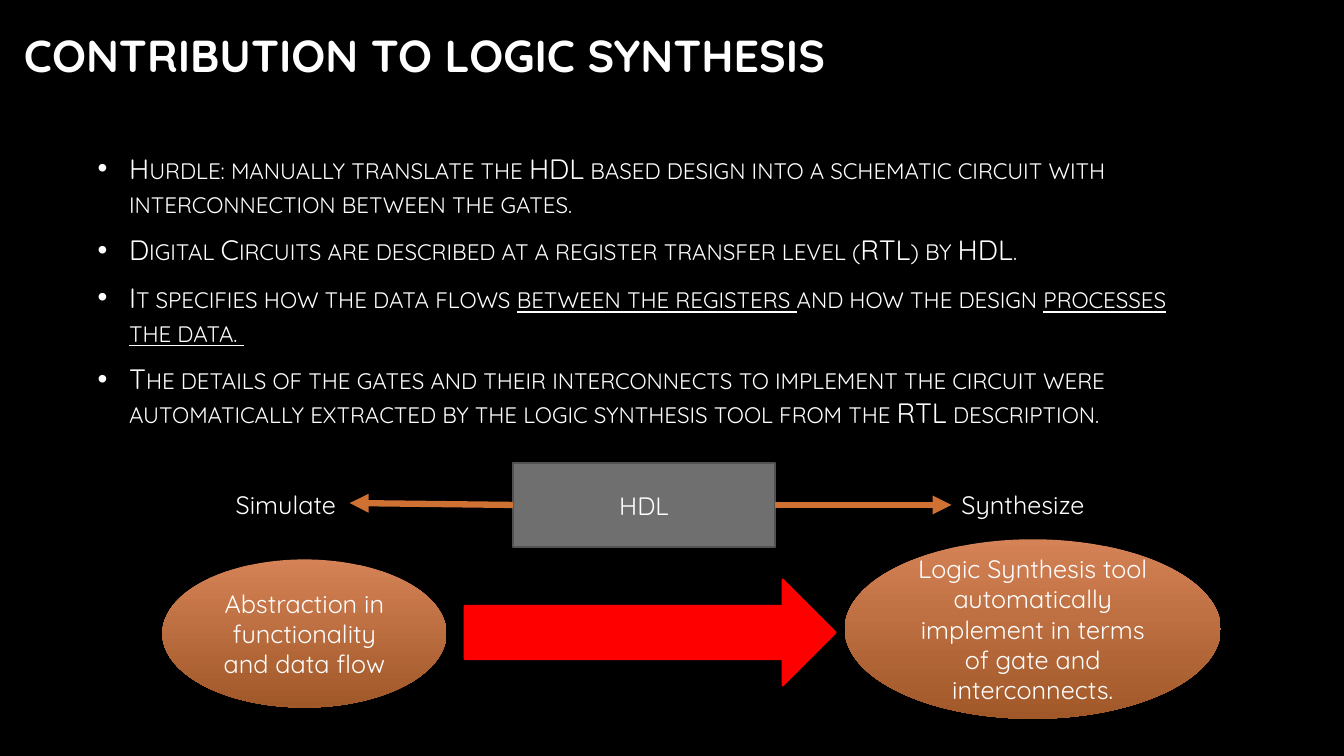
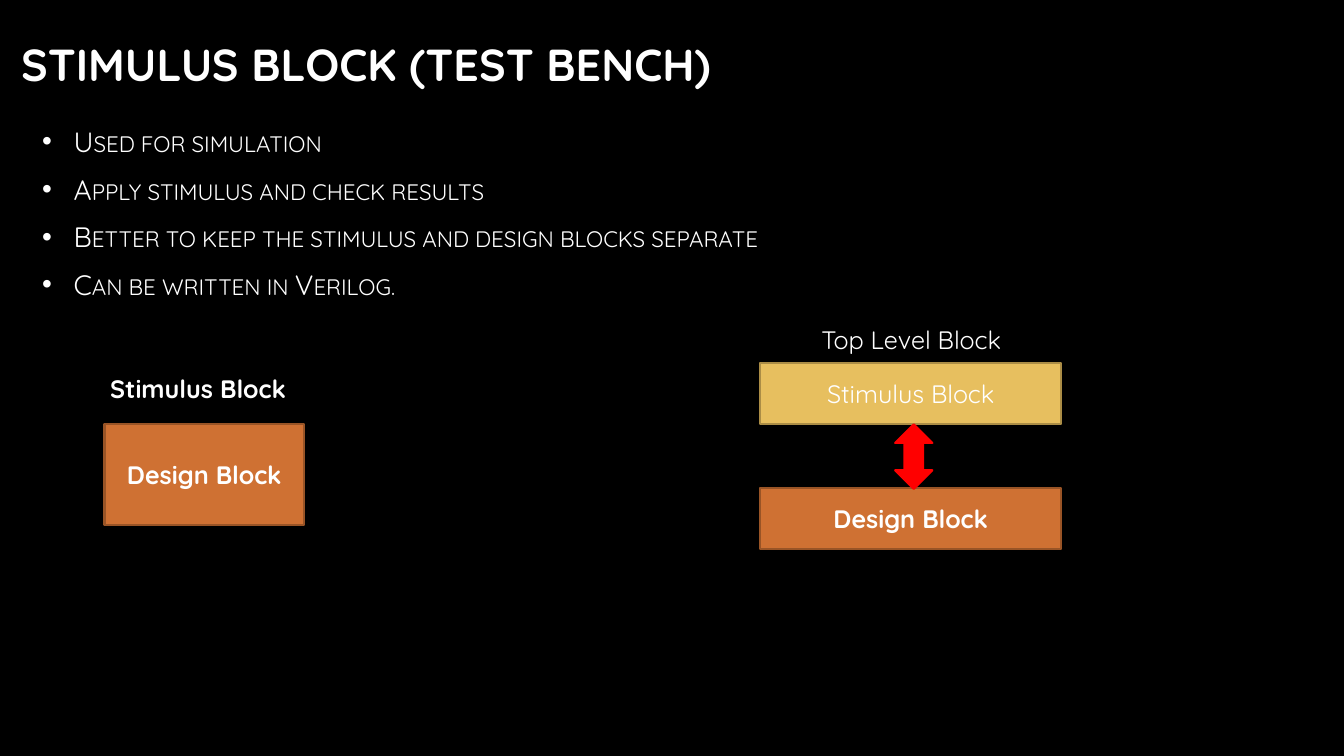
from dataclasses import dataclass

from lxml import etree
from pptx import Presentation
from pptx.dml.color import RGBColor as Rgb
from pptx.enum import shapes, text
from pptx.oxml import ns
from pptx.util import Pt

Geo = shapes.MSO_SHAPE


@dataclass(frozen=True)
class Theme:
    face: str = "Quicksand"
    head: int = 32
    body: int = 20
    label: int = 18
    edge: float = 1.5
    wire: float = 4.5
    black: str = "000000"
    white: str = "FFFFFF"
    red: str = "FF0000"
    rust: str = "CF7133"
    brown: str = "995426"
    gold: str = "E7BF5F"
    ochre: str = "AB8D46"
    gray: str = "6F6F6F"
    slate: str = "525252"
    glow: tuple = ("D48256", "A15828")


T = Theme()


def rgb(code):
    return Rgb.from_string(code)


def sub(node, tag, **attrs):
    return etree.SubElement(node, ns.qn(tag), attrs)


def style(para, size, bold=False):
    font = para.font
    font.name, font.size, font.bold = T.face, Pt(size), bold
    font.color.rgb = rgb(T.white)
    return font


def add_box(slide, box, anchor=text.MSO_ANCHOR.MIDDLE):
    frame = slide.shapes.add_textbox(*map(Pt, box)).text_frame
    frame.word_wrap = True
    frame.vertical_anchor = anchor
    return frame


def add_title(slide, box, words):
    para = add_box(slide, box).paragraphs[0]
    para.text = words
    style(para, T.head, bold=True)


def add_bullets(slide, box, items):
    """Write one bullet per item; in an item, odd parts between bars are underlined."""
    frame = add_box(slide, box)
    for num, item in enumerate(items):
        para = frame.add_paragraph() if num else frame.paragraphs[0]
        para.space_before, para.space_after = Pt(4), Pt(6)
        props = para._p.get_or_add_pPr()
        props.set("marL", str(Pt(22.5)))
        props.set("indent", str(-Pt(22.5)))
        sub(sub(props, "a:buClr"), "a:srgbClr", val=T.white)
        sub(props, "a:buFont", typeface="Arial")
        sub(props, "a:buChar", char="•")
        style(para, T.body)
        props.find(ns.qn("a:defRPr")).set("cap", "small")
        for part, words in enumerate(item.split("|")):
            if words:
                run = para.add_run()
                run.text = words
                if part % 2:
                    run.font.underline = True


def add_label(slide, box, words, align=text.PP_ALIGN.LEFT, bold=False):
    para = add_box(slide, box, text.MSO_ANCHOR.TOP).paragraphs[0]
    para.text, para.alignment = words, align
    style(para, T.label, bold)


def add_block(slide, kind, box, fill, line=None, words="", bold=False):
    """Draw a preset shape; a pair of fill colours runs from top to bottom."""
    shape = slide.shapes.add_shape(kind, *map(Pt, box))
    shape.shadow.inherit = False
    if isinstance(fill, tuple):
        shape.fill.gradient()
        shape.fill.gradient_angle = 270
        for stop, code in zip(shape.fill.gradient_stops, fill):
            stop.color.rgb = rgb(code)
    else:
        shape.fill.solid()
        shape.fill.fore_color.rgb = rgb(fill)
    if line:
        shape.line.color.rgb = rgb(line)
        shape.line.width = Pt(T.edge)
    else:
        shape.line.fill.background()
    if words:
        frame = shape.text_frame
        frame.word_wrap = True
        frame.vertical_anchor = text.MSO_ANCHOR.MIDDLE
        para = frame.paragraphs[0]
        para.text, para.alignment = words, text.PP_ALIGN.CENTER
        style(para, T.label, bold)


def add_arrow(slide, start, end):
    wire = slide.shapes.add_connector(
        shapes.MSO_CONNECTOR.STRAIGHT, *map(Pt, start + end))
    wire.line.color.rgb = rgb(T.rust)
    wire.line.width = Pt(T.wire)
    sub(wire.line._get_or_add_ln(), "a:tailEnd", type="triangle")
    sub(wire._element.spPr, "a:effectLst")


def build_logic(slide):
    add_title(slide, (10, 9.4, 780, 59), "CONTRIBUTION TO LOGIC SYNTHESIS")
    add_bullets(slide, (62.6, 84.2, 780, 246.2), [
        "Hurdle: manually translate the HDL based design into a schematic "
        "circuit with interconnection between the gates.",
        "Digital Circuits are described at a register transfer level (RTL) "
        "by HDL.",
        "It specifies how the data flows |between the registers |and how "
        "the design |processes the data. |",
        "The details of the gates and their interconnects to implement the "
        "circuit were automatically extracted by the logic synthesis tool "
        "from the RTL description.",
    ])
    left, wide, mid = 366.5, 187.2, 360.7
    add_block(slide, Geo.RECTANGLE, (left, 330.5, wide, 60.5),
              T.gray, T.slate, "HDL")
    add_arrow(slide, (left, mid), (249.8, 359.3))
    add_arrow(slide, (left + wide, mid), (679.7, mid))
    add_label(slide, (161.3, 346.3, 89.3, 28.8), "Simulate")
    add_label(slide, (679.7, 346.3, 135.4, 28.8), "Synthesize")
    for box, words in [
        ((115.9, 399.6, 203, 105.8),
         "Abstraction in functionality and data flow"),
        ((603.4, 385.2, 268.6, 128.2),
         "Logic Synthesis tool automatically implement in terms of gate "
         "and interconnects."),
    ]:
        add_block(slide, Geo.OVAL, box, T.glow, words=words)
    add_block(slide, Geo.RIGHT_ARROW, (331.9, 414, 265, 75.6), T.red, T.red)


def build_bench(slide):
    add_title(slide, (8, 15.1, 780, 61.2), "STIMULUS BLOCK (TEST BENCH)")
    add_bullets(slide, (23, 76.3, 780, 151.2), [
        "Used for simulation",
        "Apply stimulus and check results",
        "Better to keep the stimulus and design blocks separate",
        "Can be written in Verilog.",
    ])
    center = text.PP_ALIGN.CENTER
    add_label(slide, (38.2, 263.2, 206.6, 30), "Stimulus Block", center, True)
    add_label(slide, (520.6, 228.2, 260.6, 30), "Top Level Block", center)
    left, wide, high = 542.9, 215.3, 43.9
    for box, fill, line, words, bold in [
        ((74.6, 303.1, 142.6, 72), T.rust, T.brown, "Design Block", True),
        ((left, 259.2, wide, high), T.gold, T.ochre, "Stimulus Block", False),
        ((left, 348.5, wide, high), T.rust, T.brown, "Design Block", True),
    ]:
        add_block(slide, Geo.RECTANGLE, box, fill, line, words, bold)
    add_block(slide, Geo.UP_DOWN_ARROW, (639.4, 303.1, 26.6, 46.1),
              T.red, T.red)


def main():
    deck = Presentation()
    deck.slide_width, deck.slide_height = Pt(960), Pt(540)
    back = deck.slide_master.background.fill
    back.solid()
    back.fore_color.rgb = rgb(T.black)
    for build in (build_logic, build_bench):
        build(deck.slides.add_slide(deck.slide_layouts[6]))
    deck.save("out.pptx")


if __name__ == "__main__":
    main()
